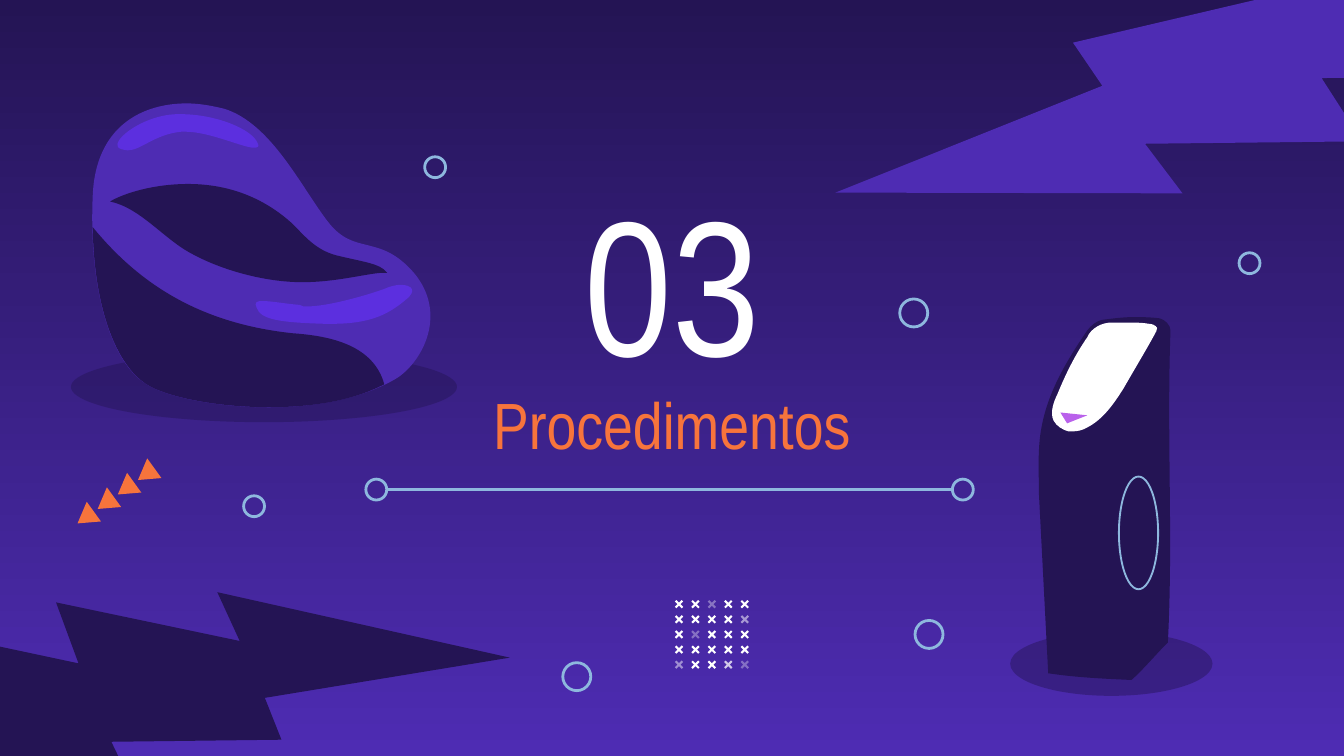
from lxml import etree
from pptx import Presentation
from pptx.dml.color import RGBColor
from pptx.enum.shapes import MSO_CONNECTOR, MSO_SHAPE
from pptx.enum.text import MSO_ANCHOR, PP_ALIGN
from pptx.oxml.ns import qn
from pptx.util import Pt

BOLT = MSO_SHAPE.LIGHTNING_BOLT
OVAL = MSO_SHAPE.OVAL
TRIANGLE = MSO_SHAPE.ISOSCELES_TRIANGLE
CROSS = MSO_SHAPE.CROSS
STRAIGHT = MSO_CONNECTOR.STRAIGHT
MIDDLE = MSO_ANCHOR.MIDDLE
CENTER = PP_ALIGN.CENTER

COLORS = {
    "night": "241454",
    "violet": "4E2CB3",
    "gloss": "5C2FDF",
    "orchid": "B961EB",
    "orange": "F7743C",
    "yellow": "FAD34A",
    "sky": "8EB8DE",
    "white": "FFFFFF",
}
RGB = {name: RGBColor.from_string(value) for name, value in COLORS.items()}

presentation = Presentation()
presentation.slide_width = Pt(720)
presentation.slide_height = Pt(405)
slide = presentation.slides.add_slide(presentation.slide_layouts[6])
shapes = slide.shapes

background = slide.background.fill
background.gradient()
background.gradient_angle = 270
for stop, color in zip(background.gradient_stops, ("night", "violet")):
    stop.color.rgb = RGB[color]


def add_figure(kind, left, top, width, height, fill=None, line=None,
               rotation=0, opacity=100, weight=1.5):
    shape = shapes.add_shape(kind, Pt(left), Pt(top), Pt(width), Pt(height))
    shape.shadow.inherit = False
    shape.rotation = rotation
    if fill:
        shape.fill.solid()
        shape.fill.fore_color.rgb = RGB[fill]
        if opacity < 100:
            color = shape.fill._xPr.find(qn("a:solidFill"))[0]
            etree.SubElement(color, qn("a:alpha"), val=str(opacity * 1000))
    else:
        shape.fill.background()
    if line:
        shape.line.color.rgb = RGB[line]
        shape.line.width = Pt(weight)
    else:
        shape.line.fill.background()
    return shape


def add_outline(color, start, *segments):
    points = [(Pt(segment[i]), Pt(segment[i + 1]))
              for segment in segments for i in range(0, len(segment), 2)]
    builder = shapes.build_freeform(Pt(start[0]), Pt(start[1]))
    builder.add_line_segments(points, close=True)
    shape = builder.convert_to_shape()
    shape.shadow.inherit = False
    shape.fill.solid()
    shape.fill.fore_color.rgb = RGB[color]
    shape.line.fill.background()
    lines = iter(list(shape._element.iter(qn("a:lnTo"))))
    for segment in segments:
        first = next(lines)
        if len(segment) == 6:
            curve = etree.Element(qn("a:cubicBezTo"))
            first.addprevious(curve)
            for line in (first, next(lines), next(lines)):
                curve.append(line[0])
                line.getparent().remove(line)


for left, top, size, color, rotation in (
    (502.6, -101.5, 300.2, "violet", 30.1),
    (-39.6, 230.4, 259.2, "night", 222.6),
):
    bolt = add_figure(BOLT, left, top, size, size, color, rotation=rotation)
    bolt._element.spPr.find(qn("a:xfrm")).set("flipH", "1")

for text, left, top, width, height, color, size in (
    ("03", 272.5, 105.8, 175, 87.8, "white", 103),
    ("Procedimentos", 192.6, 204.1, 334.8, 45.4, "orange", 35),
):
    box = shapes.add_textbox(Pt(left), Pt(top), Pt(width), Pt(height))
    frame_format = {"word_wrap": True, "vertical_anchor": MIDDLE}
    for side in ("left", "top", "right", "bottom"):
        frame_format[f"margin_{side}"] = Pt(7.2)
    for name, value in frame_format.items():
        setattr(box.text_frame, name, value)
    paragraph = box.text_frame.paragraphs[0]
    paragraph.alignment = CENTER
    run = paragraph.add_run()
    run.text = text
    for name, value in {"size": Pt(size), "name": "Arial Narrow"}.items():
        setattr(run.font, name, value)
    run.font.color.rgb = RGB[color]

add_figure(OVAL, 38, 188.4, 206.8, 37.8, "night", opacity=46)
add_outline(
    "violet", (100, 55.4),
    (107.3, 55.4, 114.5, 56.9, 120.2, 58.3), (145.4, 66.2, 161.3, 100.1, 175.7, 118.8),
    (190.1, 137.5, 203, 124.6, 221.8, 146.2), (239.8, 167.8, 226.8, 193, 213.1, 202.3),
    (194.4, 213.8, 168.5, 218.2, 144, 218.2), (115.2, 218.2, 88.6, 212.4, 78.5, 205.9),
    (59.8, 194.4, 47.5, 156.2, 49.7, 105.1), (51.1, 67, 77, 55.4, 100, 55.4))
add_outline(
    "night", (49.7, 121.7),
    (75.6, 153.4, 108.7, 173.5, 157, 178.6), (177.1, 180, 200.2, 185, 205.9, 205.9),
    (187.9, 215.3, 165.6, 218.2, 144, 218.2), (115.2, 218.2, 88.6, 212.4, 78.5, 205.9),
    (61.9, 195.1, 50.4, 164.2, 49.7, 121.7))
add_outline(
    "night", (100.8, 98.6),
    (118.8, 98.6, 139, 103.7, 157, 120.2), (163.4, 126.7, 169.2, 133.9, 180, 136.8),
    (194.4, 140.4, 203.8, 141.1, 207.4, 146.2), (206.6, 146.2, 205.9, 146.2, 205.2, 146.2),
    (198, 146.2, 180.7, 151.2, 162, 151.2), (141.8, 151.2, 118.8, 144.7, 103, 136.1),
    (87.8, 128.2, 75.6, 111.6, 59, 108), (66.2, 103.7, 82.1, 98.6, 100.8, 98.6))
add_outline(
    "gloss", (97.2, 61.2),
    (115.2, 61.2, 135.4, 69.1, 138.2, 77), (139, 78.5, 138.2, 79.2, 136.1, 79.2),
    (130.3, 79.2, 112.3, 70.6, 99.4, 70.6), (98.6, 70.6, 97.9, 70.6, 97.2, 70.6),
    (82.8, 72, 75.6, 80.6, 68.4, 80.6), (67, 80.6, 65.5, 79.9, 64.8, 79.9),
    (56.9, 77, 75.6, 61.9, 94.3, 61.2), (95, 61.2, 96.5, 61.2, 97.2, 61.2))
add_outline(
    "gloss", (214.6, 152.6),
    (220.3, 152.6, 223.9, 155.5, 217.4, 160.6), (208.8, 167.8, 199.4, 173.5, 177.8, 173.5),
    (176.4, 173.5, 175.7, 173.5, 174.2, 173.5), (150.5, 172.8, 139.7, 171.4, 137.5, 164.9),
    (136.1, 162, 137.5, 161.3, 140.4, 161.3), (145.4, 161.3, 152.6, 162.7, 160.6, 163.4),
    (162, 164.2, 162.7, 164.2, 164.2, 164.2), (176.4, 164.2, 198, 157.7, 205.9, 154.8),
    (208.8, 153.4, 212.4, 152.6, 214.6, 152.6))

add_figure(OVAL, 541.2, 338.4, 108.4, 34.4, "night", opacity=46)
add_outline("yellow", (607, 347), (605.5, 347.8), (607, 347.8), (608.4, 347))
add_outline(
    "night", (607, 169.9),
    (601.9, 169.9, 596.9, 170.6, 590.4, 171.4), (587.5, 172.1, 584.6, 174.2, 582.5, 177.1),
    (571.7, 193, 561.6, 209.5, 558, 229), (555.8, 240.5, 556.6, 252, 556.6, 264.2),
    (561.6, 360.7), (576, 362.9, 590.4, 363.6, 606.2, 364.3),
    (612, 359.3, 619.9, 349.9, 625.7, 344.2), (628.6, 288.7, 625, 233.3, 627.1, 177.1),
    (627.1, 174.2, 624.2, 171.4, 621.4, 170.6), (616.3, 169.9, 611.3, 169.9, 607, 169.9))
add_outline(
    "white", (604.1, 172.8),
    (601.2, 172.8, 598.3, 172.8, 596.2, 172.8), (596.2, 172.8, 596.2, 172.8, 595.4, 172.8),
    (590.4, 172.8, 584.6, 175.7, 582.5, 180.7), (576, 190.1, 571, 200.2, 566.6, 211),
    (564.5, 215.3, 562.3, 221, 564.5, 225.4), (565.9, 228.2, 569.5, 230.4, 572.4, 231.1),
    (573.1, 231.1, 573.8, 231.1, 574.6, 231.1), (577.4, 231.1, 580.3, 230.4, 582.5, 229),
    (591.1, 224.6, 596.9, 216, 601.9, 208.1), (607.7, 198, 613.4, 188.6, 618.5, 179.3),
    (619.2, 177.8, 619.9, 177.1, 619.9, 175.7), (619.2, 174.2, 617, 173.5, 615.6, 173.5),
    (612, 172.8, 607.7, 172.8, 604.1, 172.8))
add_figure(OVAL, 599.4, 255.3, 21, 60.4, line="sky", weight=1)
add_outline("orchid", (568.1, 221), (571.7, 226.8), (582.5, 222.5))

rule = shapes.add_connector(STRAIGHT, Pt(510.5), Pt(262.4), Pt(207.4), Pt(262.4))
rule.line.color.rgb = RGB["sky"]
rule.line.width = Pt(1.5)
etree.SubElement(rule._element.spPr, qn("a:effectLst"))

for left, top, size in (
    (196, 256.7, 11.2), (510.2, 256.7, 11.2), (227.5, 84, 11.2),
    (130.5, 265.6, 11.2), (663.8, 135.4, 11.2),
    (482, 160.2, 15), (490.2, 332.4, 15), (301.5, 355, 15),
):
    add_figure(OVAL, left, top, size, size, line="sky")

for index in range(4):
    add_figure(TRIANGLE, 71.8 - 10.8 * index, 248.6 + 7.75 * index, 13, 10.8,
               "orange", rotation=234.2)

FADED = {(0, 2): 36, (1, 4): 53, (2, 1): 34, (4, 0): 48, (4, 3): 75, (4, 4): 33}
for row in range(5):
    for column in range(5):
        cross = add_figure(CROSS, 361.2 + 8.8 * column, 321.1 + 8.1 * row, 5.2, 5.2,
                           "white", rotation=315, opacity=FADED.get((row, column), 100))
        cross.adjustments[0] = 0.39

presentation.save("out.pptx")
